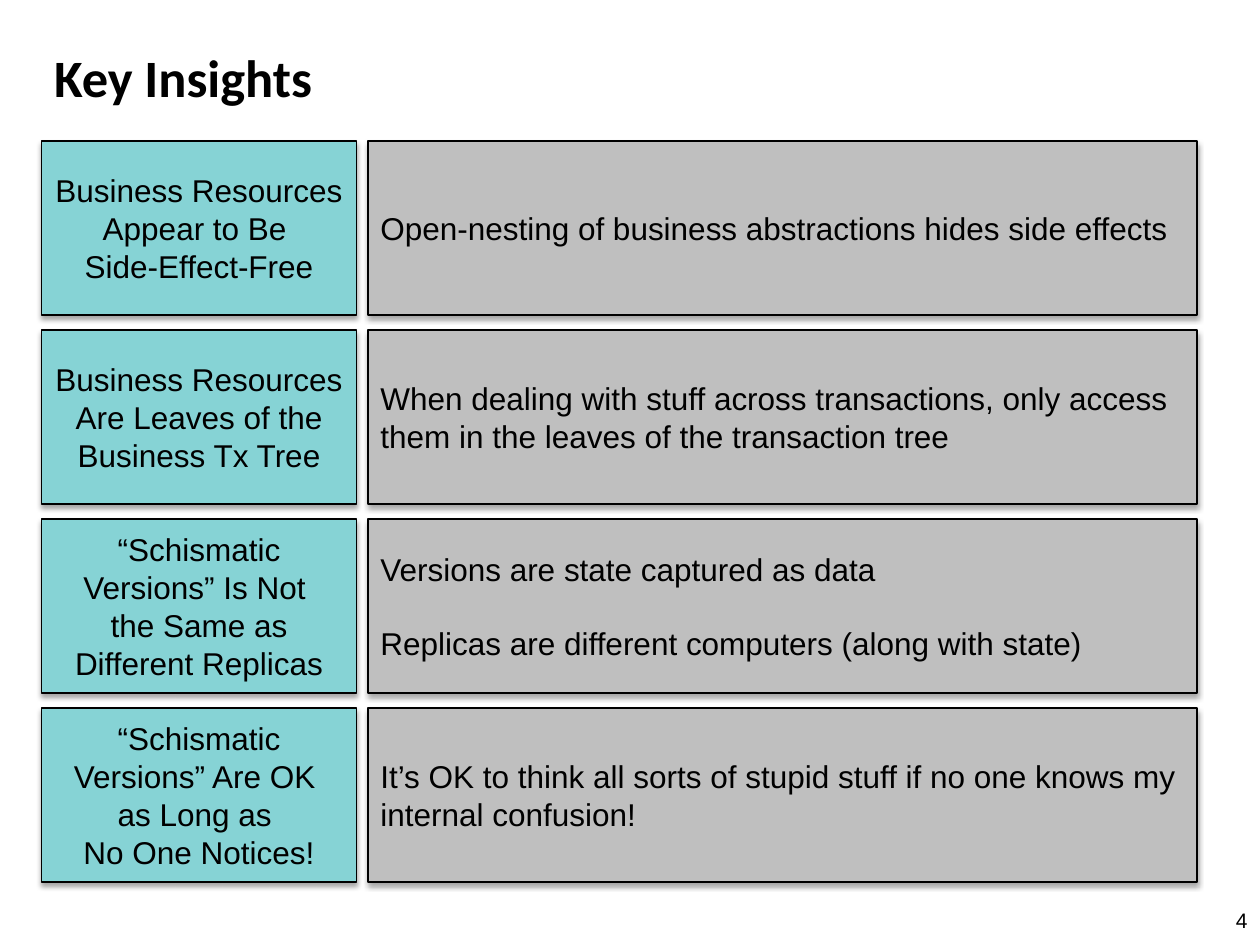
from lxml.etree import SubElement
from pptx import Presentation
from pptx.dml.color import RGBColor
from pptx.enum.shapes import MSO_SHAPE
from pptx.enum.text import MSO_ANCHOR, MSO_AUTO_SIZE, PP_ALIGN
from pptx.oxml.ns import qn
from pptx.util import Inches, Pt

LEFT, TOP = 0.33, 1.12
ROW_HEIGHT, ROW_STEP = 1.38, 1.5
COLUMNS = [
    {"left": LEFT, "width": 2.5, "fill": "86D3D5", "align": PP_ALIGN.CENTER},
    {"left": 2.92, "width": 6.58, "fill": "BFBFBF", "align": PP_ALIGN.LEFT},
]
INSIGHTS = [
    (["Business Resources ", "Appear to Be \nSide-Effect-Free"],
     ["Open-nesting of business abstractions hides side effects"]),
    (["Business Resources Are Leaves of the Business Tx Tree"],
     ["When dealing with stuff across transactions, only access them "
      "in the leaves of the transaction tree"]),
    (["“Schismatic Versions” Is Not \nthe Same as Different Replicas"],
     ["Versions are state captured as data",
      "Replicas are different computers (along with state)"]),
    (["“Schismatic Versions” Are OK \nas Long as \nNo One Notices!"],
     ["It’s OK to think all sorts of stupid stuff if no one knows "
      "my internal confusion!"]),
]


def color(value):
    return RGBColor.from_string(value)


def write_text(box, lines, size=18, font="Arial", bold=False,
               align=PP_ALIGN.LEFT, gap=0):
    frame = box.text_frame
    frame.word_wrap = True
    frame.auto_size = MSO_AUTO_SIZE.NONE
    frame.vertical_anchor = MSO_ANCHOR.MIDDLE
    for index, line in enumerate(lines):
        para = frame.add_paragraph() if index else frame.paragraphs[0]
        para.text = line
        para.alignment = align
        para.space_before = Pt(gap if index else 0)
        for span in para.runs:
            span.font.size = Pt(size)
            span.font.name = font
            span.font.bold = bold
            span.font.color.rgb = color("000000")


def add_shadow(box):
    box.shadow.inherit = False
    effects = box._element.spPr.find(qn("a:effectLst"))
    shadow = SubElement(effects, qn("a:outerShdw"), blurRad=str(Pt(3.1)),
                        dist=str(Pt(1.8)), dir="5400000", rotWithShape="0")
    shade = SubElement(shadow, qn("a:srgbClr"), val="000000")
    SubElement(shade, qn("a:alpha"), val="35000")


def add_cell(group, row, column, lines):
    box = group.shapes.add_shape(
        MSO_SHAPE.RECTANGLE, Inches(column["left"]), Inches(TOP + row * ROW_STEP),
        Inches(column["width"]), Inches(ROW_HEIGHT))
    box.fill.solid()
    box.fill.fore_color.rgb = color(column["fill"])
    box.line.color.rgb = color("000000")
    box.line.width = Pt(0.75)
    add_shadow(box)
    gap = 21 if column["align"] == PP_ALIGN.LEFT else 0
    write_text(box, lines, align=column["align"], gap=gap)


def add_title(page, text):
    title = page.shapes.title
    title.left, title.top = Inches(LEFT), Inches(0.17)
    title.width, title.height = Inches(9), Inches(0.87)
    write_text(title, [text], size=30, font="Calibri", bold=True)


def add_page_number(page, number):
    box = page.shapes.add_textbox(Inches(9.42), Inches(7.1), Inches(0.58), Inches(0.4))
    write_text(box, [str(number)], size=12, align=PP_ALIGN.RIGHT)


def main():
    deck = Presentation()
    deck.slide_width, deck.slide_height = Inches(10), Inches(7.5)
    page = deck.slides.add_slide(deck.slide_layouts[5])
    add_title(page, "Key Insights")
    add_page_number(page, 4)
    for row, insight in enumerate(INSIGHTS):
        group = page.shapes.add_group_shape()
        for column, lines in zip(COLUMNS, insight):
            add_cell(group, row, column, lines)
    deck.save("out.pptx")


if __name__ == "__main__":
    main()
